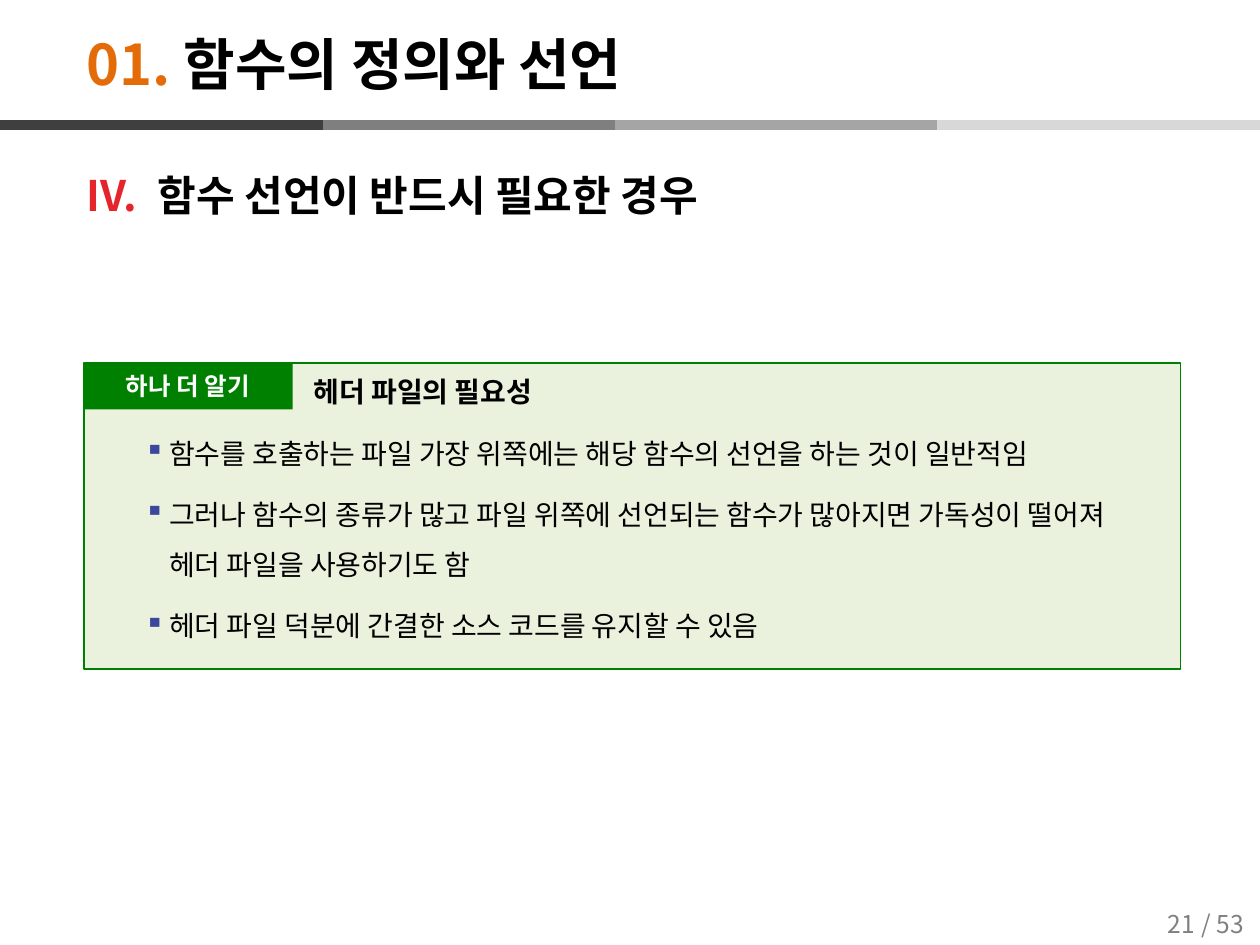
from dataclasses import dataclass

from lxml.etree import SubElement
from pptx import Presentation
from pptx.dml.color import RGBColor
from pptx.enum.shapes import MSO_CONNECTOR, MSO_SHAPE
from pptx.enum.text import MSO_ANCHOR, PP_ALIGN
from pptx.oxml.ns import qn
from pptx.util import Pt


@dataclass(frozen=True)
class Theme:
    face: str = "Noto Sans CJK KR"
    ink: str = "000000"
    white: str = "FFFFFF"
    gray: str = "7F7F7F"
    orange: str = "E36C09"
    red: str = "E5242C"
    blue: str = "3C479D"
    green: str = "008000"
    pale: str = "EAF1DD"
    bands: tuple = ("3F3F3F", "7F7F7F", "A5A5A5", "D8D8D8")
    title: int = 32
    head: int = 24
    text: int = 16
    small: int = 14


THEME = Theme()
WIDE, HIGH = 720, 540


def color(code):
    return RGBColor.from_string(code)


def style(para, size, code, bold=False):
    font = para.font
    font.size, font.bold, font.name = Pt(size), bold, THEME.face
    font.color.rgb = color(code)
    SubElement(para._p.pPr.find(qn("a:defRPr")), qn("a:ea"), typeface=THEME.face)


def mark(para, code, left, hang, tag, **attrs):
    """Give a paragraph a coloured bullet or number with a hanging indent."""
    props = para._p.get_or_add_pPr()
    props.set("marL", str(Pt(left)))
    props.set("indent", str(-Pt(hang)))
    tint = SubElement(props, qn("a:buClr"))
    SubElement(tint, qn("a:srgbClr"), val=code)
    SubElement(props, qn(tag), **attrs)


def add_text(slide, box, anchor=MSO_ANCHOR.MIDDLE):
    frame = slide.shapes.add_textbox(*map(Pt, box)).text_frame
    frame.word_wrap = True
    frame.vertical_anchor = anchor
    return frame


def add_rect(slide, box, fill, line):
    rect = slide.shapes.add_shape(MSO_SHAPE.RECTANGLE, *map(Pt, box))
    rect.shadow.inherit = False
    rect.fill.solid()
    rect.fill.fore_color.rgb = color(fill)
    if line:
        rect.line.color.rgb = color(line)
        rect.line.width = Pt(1)
    else:
        rect.line.fill.background()
    return rect


def add_title(slide, box, number, words):
    para = add_text(slide, box).paragraphs[0]
    style(para, THEME.title, THEME.ink, True)
    run = para.add_run()
    run.text = number + " "
    run.font.color.rgb = color(THEME.orange)
    para.add_run().text = words


def add_bands(slide, box):
    """Draw overlapping bars from the right, so the first lies on top."""
    left, top, width, height = box
    span = width * 0.256
    count = len(THEME.bands)
    for i, code in reversed(list(enumerate(THEME.bands))):
        start = left if i == 0 else left + width - span * (count - i)
        bar = slide.shapes.add_connector(
            MSO_CONNECTOR.STRAIGHT, Pt(start), Pt(top), Pt(start + span), Pt(top))
        bar.line.color.rgb = color(code)
        bar.line.width = Pt(height)
        SubElement(bar._element.spPr, qn("a:effectLst"))


def add_head(slide, box, words, number):
    para = add_text(slide, box, MSO_ANCHOR.TOP).paragraphs[0]
    para.text = words
    para.line_spacing = 1.5
    mark(para, THEME.red, 40.5, 40.5, "a:buAutoNum",
         type="romanUcPeriod", startAt=str(number))
    style(para, THEME.head, THEME.ink, True)


def add_points(slide, box, points):
    frame = add_text(slide, box, MSO_ANCHOR.TOP)
    for i, words in enumerate(points):
        para = frame.add_paragraph() if i else frame.paragraphs[0]
        para.text = words
        para.level = 1
        para.line_spacing = 1.5
        para.space_before = Pt(6 if i else 0)
        mark(para, THEME.blue, 35.5, 14.2, "a:buChar", char="▪")
        style(para, THEME.text, THEME.ink)


def add_note(slide, box, label, topic, points):
    left, top, width, height = box
    add_rect(slide, box, THEME.pale, THEME.green)
    add_points(slide, (left + 6, top + 29, width - 11.5, 86.4), points)
    tab = add_rect(slide, (left - 0.5, top, 119.5, 26.5), THEME.green, None)
    tab.text_frame.vertical_anchor = MSO_ANCHOR.MIDDLE
    para = tab.text_frame.paragraphs[0]
    para.text = label
    para.alignment = PP_ALIGN.CENTER
    style(para, THEME.small, THEME.white, True)
    para = add_text(slide, (left + 124, top + 0.7, 371.5, 21.6)).paragraphs[0]
    para.text = topic
    para.line_spacing = 1.5
    style(para, THEME.text, THEME.ink, True)


def add_pages(slide, box, page, total):
    left, top, width, height = box
    for shift, words in ((0, page), (23.8, f"/ {total}")):
        spot = left + shift, top, width, height
        para = add_text(slide, spot).paragraphs[0]
        para.text = str(words)
        para.alignment = PP_ALIGN.CENTER
        style(para, THEME.small, THEME.gray)


def main():
    deck = Presentation()
    deck.slide_width, deck.slide_height = Pt(WIDE), Pt(HIGH)
    slide = deck.slides.add_slide(deck.slide_layouts[6])
    add_bands(slide, (0, 71.4, WIDE, 6))
    add_pages(slide, (649.4, 514.1, 51.1, 28), 21, 53)
    add_title(slide, (42.5, 14.4, 538.6, 43.2), "01.", "함수의 정의와 선언")
    add_head(slide, (42.5, 79.2, 663, 413.3), "함수 선언이 반드시 필요한 경우", 4)
    add_note(slide, (48.2, 207.4, 626.4, 175), "하나 더 알기", "헤더 파일의 필요성", (
        "함수를 호출하는 파일 가장 위쪽에는 해당 함수의 선언을 하는 것이 일반적임",
        "그러나 함수의 종류가 많고 파일 위쪽에 선언되는 함수가 많아지면 "
        "가독성이 떨어져 헤더 파일을 사용하기도 함",
        "헤더 파일 덕분에 간결한 소스 코드를 유지할 수 있음",
    ))
    deck.save("out.pptx")


if __name__ == "__main__":
    main()
